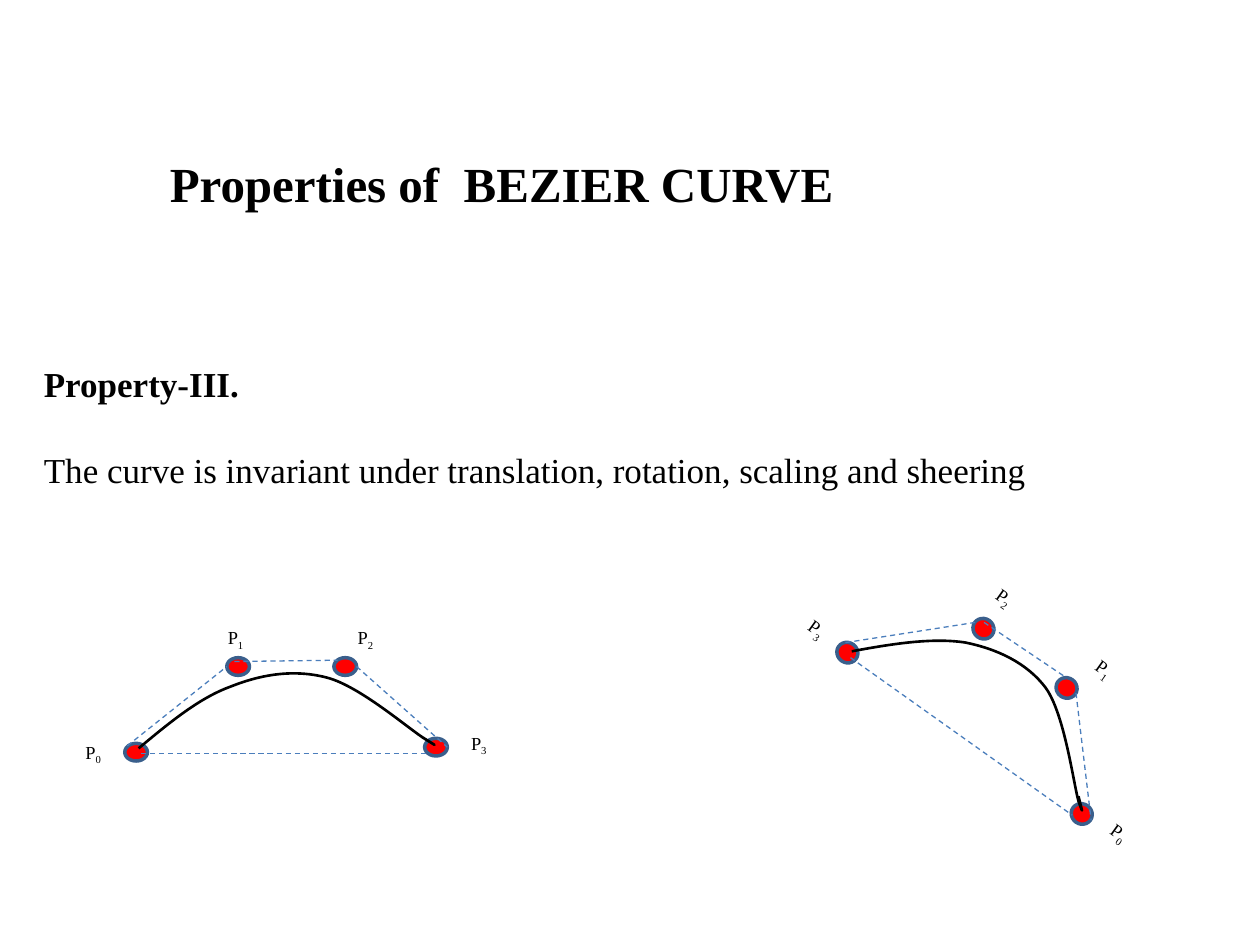
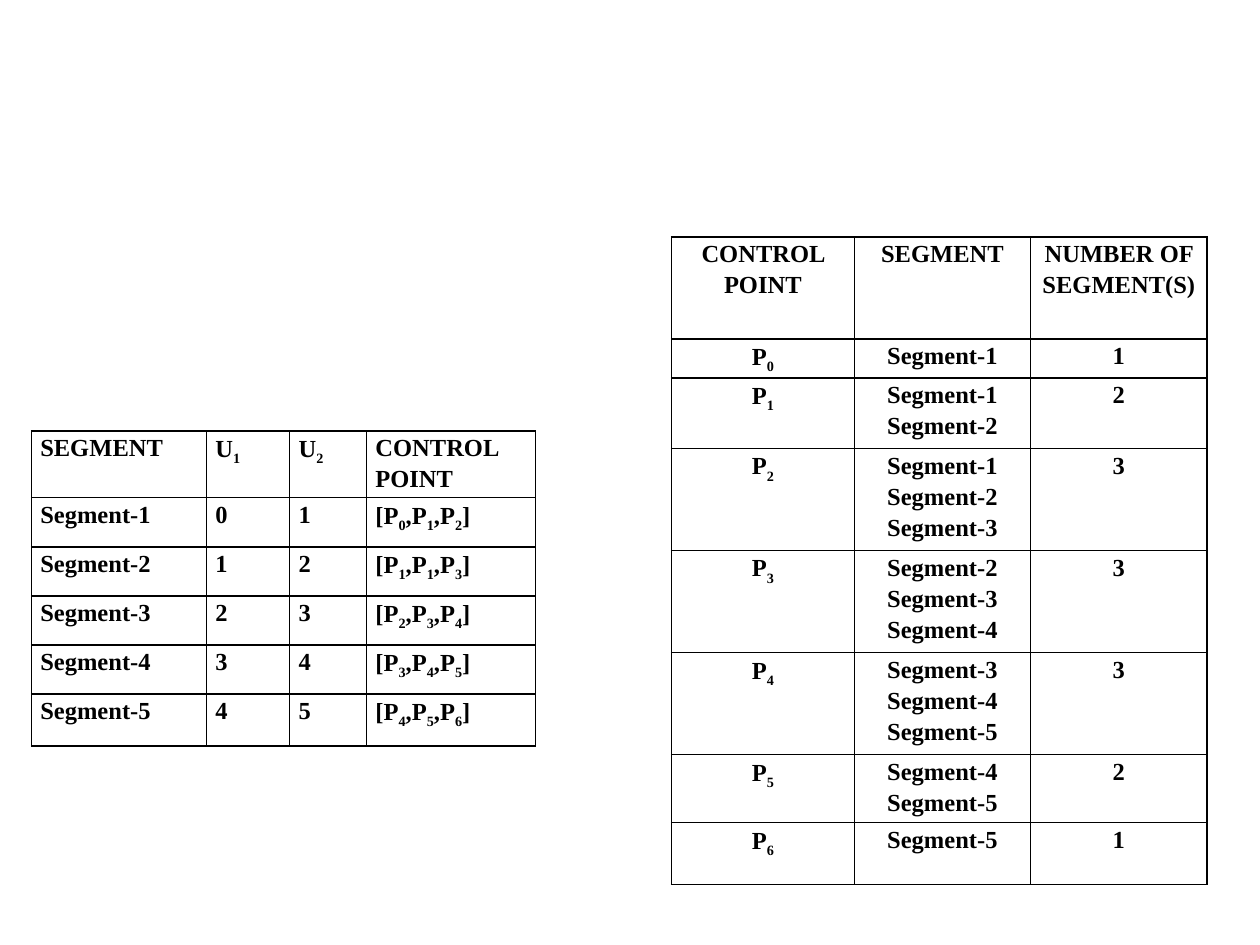
from itertools import product
from lxml.etree import SubElement
from pptx import Presentation
from pptx.dml.color import RGBColor
from pptx.enum.dml import MSO_LINE_DASH_STYLE as Dash
from pptx.enum.shapes import MSO_CONNECTOR as Connector, MSO_SHAPE as Shape
from pptx.enum.text import PP_ALIGN as Align
from pptx.oxml.ns import qn
from pptx.util import Pt

PX = 9144
FONT = "Times New Roman"
BLACK, RED, RIM, HULL = "000000", "FF0000", "3A5F8C", "4B7EBC"


def color(hex_code):
    return RGBColor.from_string(hex_code)


def px(*lengths):
    return [length * PX for length in lengths]


class Deck:
    """Hold the shared style and the current slide, and draw each kind of element."""

    def __init__(self):
        self.prs = Presentation()
        self.prs.slide_width, self.prs.slide_height = px(1000, 750)

    def new_slide(self):
        self.slide = self.prs.slides.add_slide(self.prs.slide_layouts[6])
        self.shapes = self.slide.shapes

    def start_group(self):
        self.shapes = self.slide.shapes.add_group_shape().shapes

    def fill_line(self, paragraph, text, size, bold=False):
        font = paragraph.font
        font.name, font.size, font.bold = FONT, Pt(size), bold
        font.color.rgb = color(BLACK)
        plain, *indexed = text.split("_")
        paragraph.add_run().text = plain
        for part in indexed:
            index = paragraph.add_run()
            index.text = part[0]
            index._r.get_or_add_rPr().set("baseline", "-25000")
            if part[1:]:
                paragraph.add_run().text = part[1:]

    def text(self, box, lines, size, gap=0, angle=0):
        holder = self.shapes.add_textbox(*px(*box))
        holder.rotation = angle
        frame = holder.text_frame
        frame.word_wrap = True
        for number, (line, bold) in enumerate(lines):
            paragraph = frame.add_paragraph() if number else frame.paragraphs[0]
            paragraph.space_before = Pt(gap if number else 0)
            self.fill_line(paragraph, line, size, bold)

    def node(self, box, angle):
        oval = self.shapes.add_shape(Shape.OVAL, *px(*box))
        oval.rotation = angle
        oval.shadow.inherit = False
        oval.fill.solid()
        oval.fill.fore_color.rgb = color(RED)
        oval.line.color.rgb = color(RIM)
        oval.line.width = Pt(2)

    def hull_edge(self, ends):
        edge = self.shapes.add_connector(Connector.STRAIGHT, *px(*ends))
        edge.line.color.rgb = color(HULL)
        edge.line.width = Pt(0.75)
        edge.line.dash_style = Dash.DASH
        SubElement(edge._element.spPr, qn("a:effectLst"))

    def curve(self, points):
        builder = self.shapes.build_freeform(*points[0], scale=PX)
        builder.add_line_segments(points[1:], close=False)
        curve = builder.convert_to_shape()
        curve.shadow.inherit = False
        curve.fill.background()
        curve.line.color.rgb = color(BLACK)
        curve.line.width = Pt(1.5)
        outline = next(curve._element.iter(qn("a:path")))
        steps = outline.findall(qn("a:lnTo"))
        for first in range(0, len(steps), 3):
            bezier = SubElement(outline, qn("a:cubicBezTo"))
            for step in steps[first:first + 3]:
                bezier.append(step[0])
                outline.remove(step)

    def border(self, cell):
        properties = cell._tc.get_or_add_tcPr()
        for position, side in enumerate(("a:lnL", "a:lnR", "a:lnT", "a:lnB")):
            line = SubElement(properties, qn(side), w=str(Pt(1)))
            fill = SubElement(line, qn("a:solidFill"))
            SubElement(fill, qn("a:srgbClr"), val=BLACK)
            properties.insert(position, line)

    def table(self, left, top, widths, heights, rows, align):
        box = px(left, top, sum(widths), sum(heights))
        grid = self.shapes.add_table(len(rows), len(widths), *box).table
        grid.first_row = grid.horz_banding = False
        for column, width in zip(grid.columns, px(*widths)):
            column.width = width
        for row, height in zip(grid.rows, px(*heights)):
            row.height = height
        for r, c in product(range(len(rows)), range(len(widths))):
            cell = grid.cell(r, c)
            cell.margin_left = cell.margin_right = 7 * PX
            cell.margin_top = cell.margin_bottom = 0
            cell.fill.background()
            self.border(cell)
            for number, line in enumerate(rows[r][c].split("\n")):
                frame = cell.text_frame
                paragraph = frame.add_paragraph() if number else frame.paragraphs[0]
                paragraph.alignment = align
                paragraph.line_spacing = 1.15
                self.fill_line(paragraph, line, 14, True)

    def bezier_figure(self, nodes, node_size, curve, edges, labels, label_size, angle=0):
        self.start_group()
        for spot in nodes:
            self.node(spot + node_size, angle)
        self.curve(curve)
        for ends in edges:
            self.hull_edge(ends)
        for index, spot in enumerate(labels):
            self.text(spot + label_size, [(f"P_{index}", False)], 10.5, angle=angle)


def property_slide(deck):
    deck.new_slide()
    deck.text((125, 117, 667, 57), [("Properties of  BEZIER CURVE", True)], 28)
    statement = "The curve is invariant under translation, rotation, scaling and sheering"
    deck.text((25, 283, 933, 192), [("Property-III.", True), (statement, False)], 20, gap=25)
    deck.bezier_figure(
        nodes=[(99, 590), (180, 522), (265, 522), (337, 586)],
        node_size=(18, 14),
        curve=[(110, 594), (134, 574), (158, 554), (183, 545), (208, 535), (234, 531),
               (260, 538), (286, 545), (325, 579), (338, 587), (351, 595), (343, 590),
               (335, 585)],
        edges=[(101, 592, 180, 529), (186, 525, 268, 524), (283, 529, 355, 593),
               (112, 598, 340, 598)],
        labels=[(58, 583), (171, 492), (274, 492), (364, 576)],
        label_size=(36, 51))
    deck.bezier_figure(
        nodes=[(664, 510), (772, 491), (838, 538), (850, 638)],
        node_size=(17, 16),
        curve=[(676, 517), (708, 511), (740, 506), (766, 510), (791, 515), (815, 526),
               (830, 546), (845, 567), (852, 622), (856, 636), (861, 650), (858, 641),
               (856, 632)],
        edges=[(671, 510, 774, 494), (781, 494, 845, 537), (854, 550, 866, 651),
               (675, 522, 851, 647)],
        labels=[(871, 647), (859, 517), (780, 460), (631, 485)],
        label_size=(34, 32),
        angle=35.5)


def segment_slide(deck):
    deck.new_slide()
    point_sets = ["012", "113", "234", "345", "456"]
    segments = [("SEGMENT", "U_1", "U_2", "CONTROL POINT")]
    for number, points in enumerate(point_sets, 1):
        joined = ",".join(f"P_{point}" for point in points)
        segments.append((f"Segment-{number}", str(number - 1), str(number), f"[{joined}]"))
    deck.table(25, 342, [139, 66, 61, 134], [53, 39, 39, 39, 39, 41], segments, Align.LEFT)

    influence = [("CONTROL POINT", "SEGMENT", "NUMBER OF SEGMENT(S)")]
    for point in range(7):
        reached = range(max(1, point - 1), min(5, point + 1) + 1)
        names = "\n".join(f"Segment-{number}" for number in reached)
        influence.append((f"P_{point}", names, str(len(reached))))
    deck.table(533, 188, [145, 140, 140], [81, 31, 56, 81, 81, 81, 54, 49], influence,
               Align.CENTER)


def main():
    deck = Deck()
    property_slide(deck)
    segment_slide(deck)
    deck.prs.save("out.pptx")


if __name__ == "__main__":
    main()
